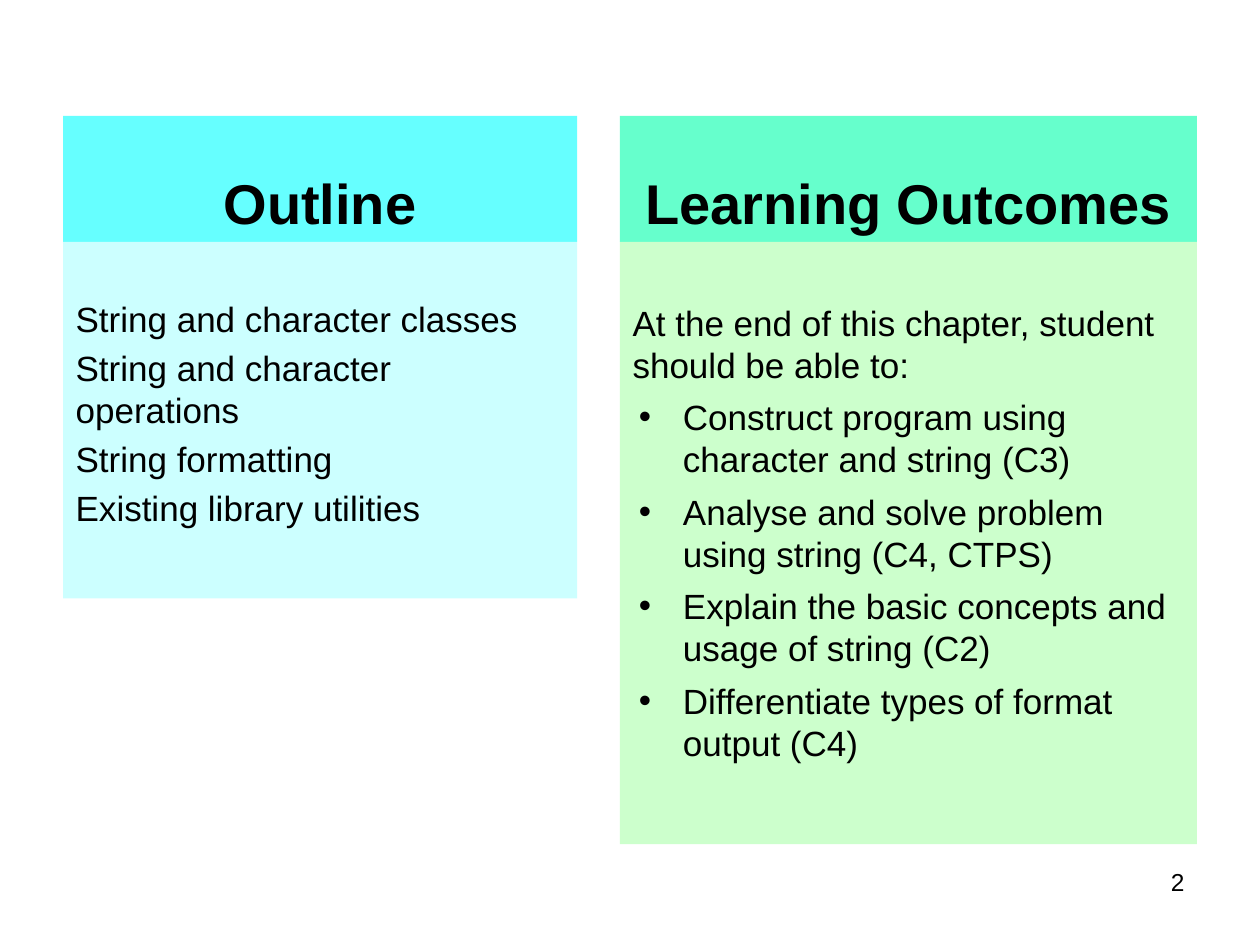
import pptx
import pptx.dml.color
import pptx.enum.text
import pptx.util
import lxml.etree
from pptx.oxml.ns import qn

Inches = pptx.util.Inches
Align = pptx.enum.text.PP_ALIGN
Anchor = pptx.enum.text.MSO_ANCHOR

TOP = 0.92
HEADING_HEIGHT = 1


def colour(value):
    return pptx.dml.color.RGBColor.from_string(value)


def set_bullet(para, symbol, left, hanging):
    properties = para._p.get_or_add_pPr()
    properties.set("marL", str(Inches(left)))
    properties.set("indent", str(Inches(-hanging)))
    if symbol:
        lxml.etree.SubElement(properties, qn("a:buFont")).set("typeface", "Arial")
        lxml.etree.SubElement(properties, qn("a:buChar")).set("char", symbol)
    else:
        lxml.etree.SubElement(properties, qn("a:buNone"))


def write_text(para, text, size=20, bold=False, align=Align.LEFT, before=0,
               line=None, bullet=None):
    para.alignment = align
    para.space_before = pptx.util.Pt(before)
    if line:
        para.line_spacing = pptx.util.Pt(line)
    if bullet:
        set_bullet(para, bullet, 0.4, 0.35)
    else:
        set_bullet(para, None, 0, 0)
    span = para.add_run()
    span.text = text
    span.font.name = "Arial"
    span.font.size = pptx.util.Pt(size)
    span.font.bold = bold
    span.font.color.rgb = colour("000000")


def place_box(box, left, top, width, height, fill, anchor=Anchor.TOP):
    box.left, box.top = Inches(left), Inches(top)
    box.width, box.height = Inches(width), Inches(height)
    box.fill.solid()
    box.fill.fore_color.rgb = colour(fill)
    frame = box.text_frame
    frame.word_wrap = True
    frame.auto_size = pptx.enum.text.MSO_AUTO_SIZE.NONE
    frame.vertical_anchor = anchor
    return frame


def fill_heading(box, text, left, width, fill):
    frame = place_box(box, left, TOP, width, HEADING_HEIGHT, fill, Anchor.BOTTOM)
    write_text(frame.paragraphs[0], text, size=32, bold=True, align=Align.CENTER)


def fill_list(box, items, left, width, height, fill, before, inset):
    frame = place_box(box, left, TOP + HEADING_HEIGHT, width, height, fill)
    frame.margin_top = Inches(inset)
    for index, (text, bullet) in enumerate(items):
        para = frame.add_paragraph() if index else frame.paragraphs[0]
        write_text(para, text, before=before if index else 0, line=24, bullet=bullet)


def add_page_number(page, text):
    box = page.shapes.add_textbox(Inches(7.17), Inches(6.83), Inches(2.33), Inches(0.52))
    box.text_frame.word_wrap = True
    write_text(box.text_frame.paragraphs[0], text, size=14, align=Align.RIGHT)


def main():
    deck = pptx.Presentation()
    deck.slide_width, deck.slide_height = Inches(10), Inches(7.5)
    page = deck.slides.add_slide(deck.slide_layouts.get_by_name("Comparison"))
    title = page.shapes.title
    title._element.getparent().remove(title._element)
    boxes = page.placeholders

    topics = [
        ("String and character classes", None),
        ("String and character operations", None),
        ("String formatting", None),
        ("Existing library utilities", None),
    ]
    outcomes = [
        ("At the end of this chapter, student should be able to:", None),
        ("Construct program using character and string (C3)", "•"),
        ("Analyse and solve problem using string (C4, CTPS)", "•"),
        ("Explain the basic concepts and usage of string (C2)", "•"),
        ("Differentiate types of format output (C4)", "•"),
    ]
    fill_heading(boxes[1], "Outline", 0.5, 4.08, "66FFFF")
    fill_list(boxes[2], topics, 0.5, 4.08, 2.83, "CCFFFF", before=4, inset=0.44)
    fill_heading(boxes[3], "Learning Outcomes", 4.92, 4.58, "66FFCC")
    fill_list(boxes[4], outcomes, 4.92, 4.58, 4.78, "CCFFCC", before=6, inset=0.47)
    add_page_number(page, "2")
    deck.save("out.pptx")


if __name__ == "__main__":
    main()
